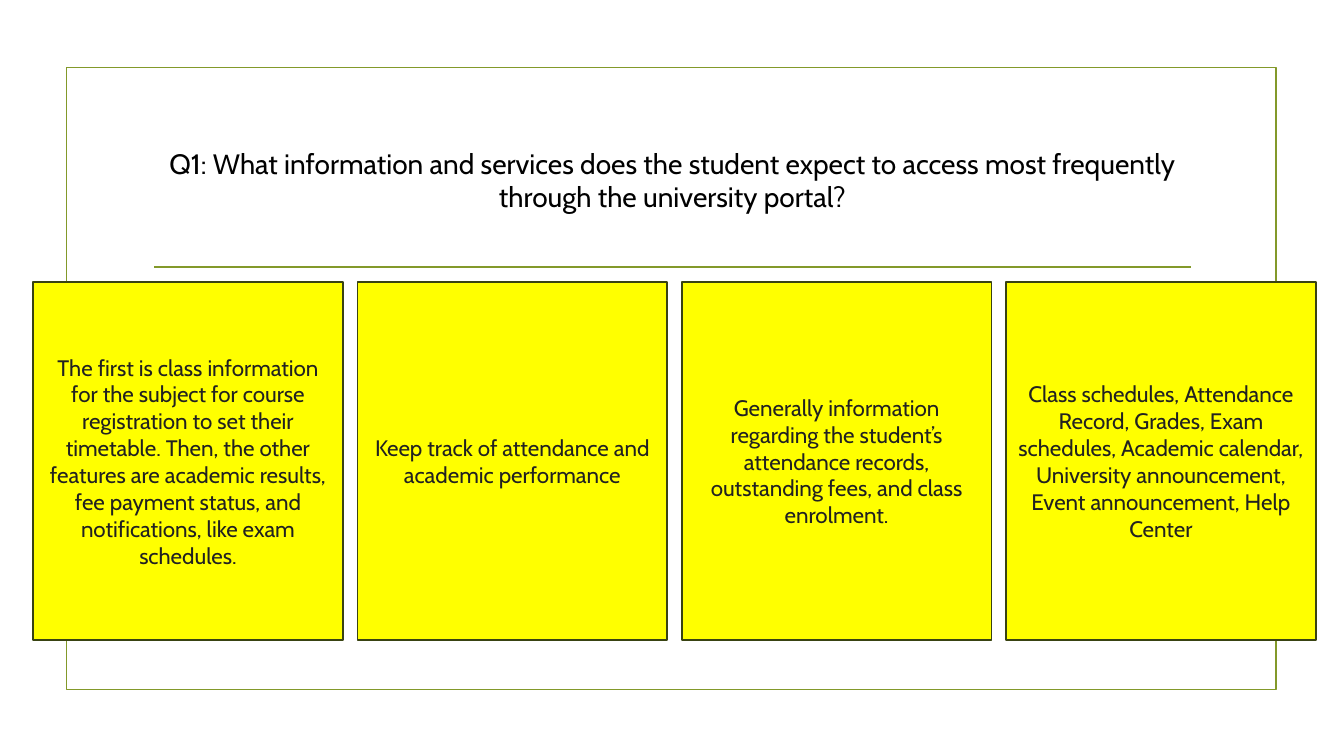
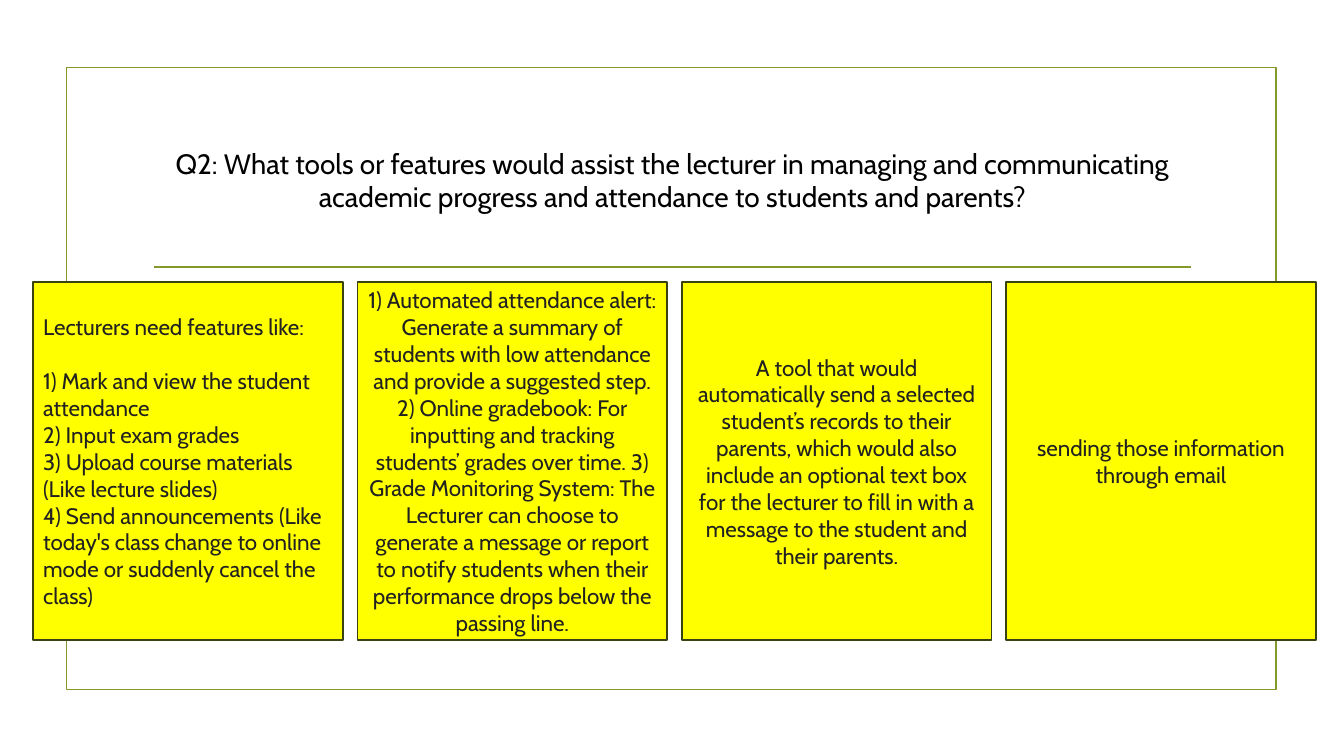
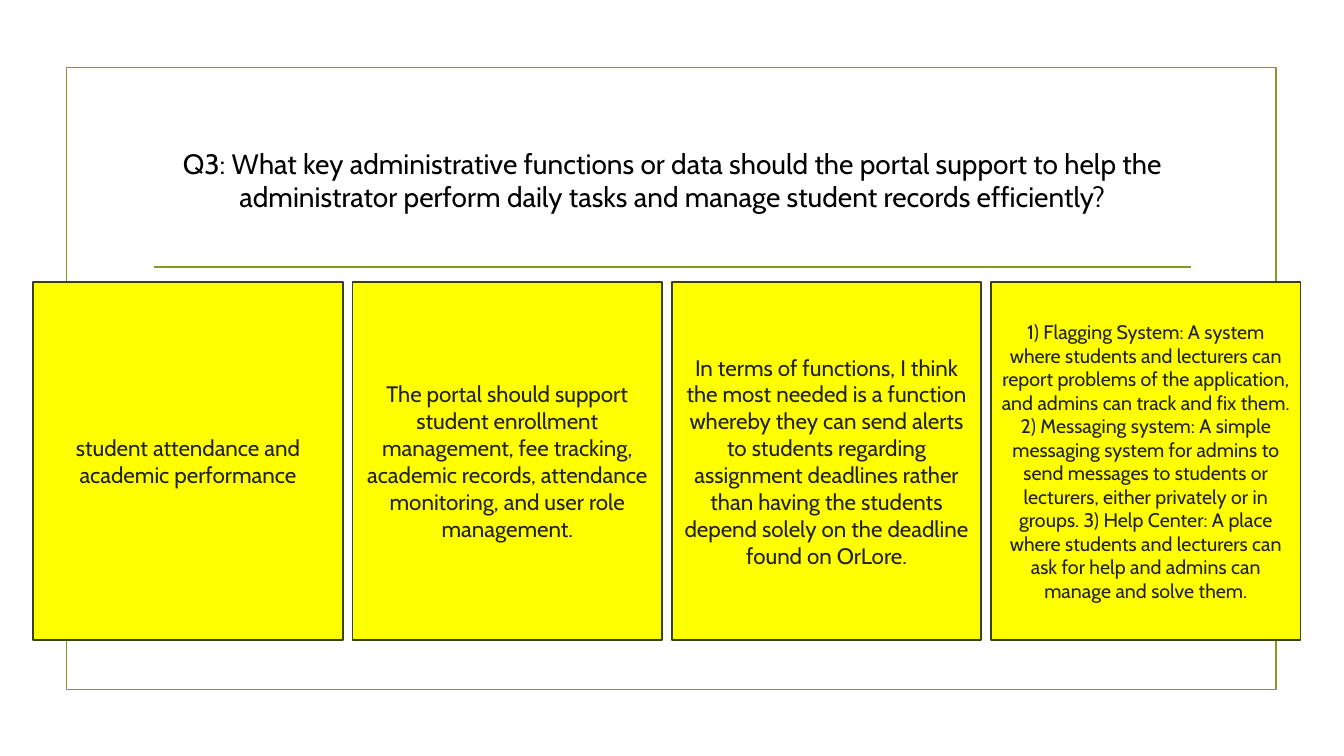
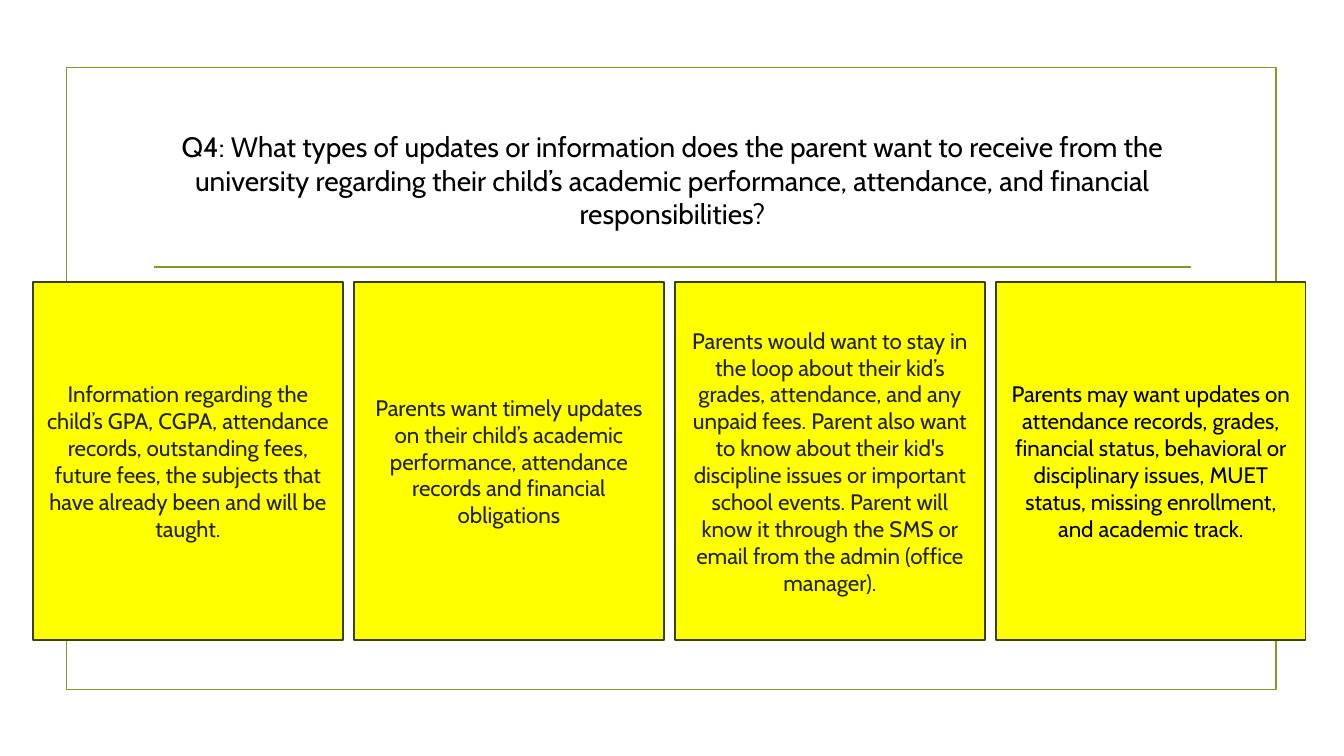
from collections import namedtuple
from dataclasses import dataclass

from pptx import Presentation
from pptx import util as u
from pptx.dml.color import RGBColor
from pptx.enum import shapes, text
from pptx.oxml.ns import qn
from lxml import etree

Box = namedtuple("Box", "x y w h")
Card = namedtuple("Card", "paras fmt")


@dataclass(frozen=True)
class Theme:
    """Colours, type sizes and line width of the deck."""
    font: str = "Cabin"
    black: str = "000000"
    ink: str = "212121"
    olive: str = "83992A"
    card_fill: str = "FFFF00"
    card_line: str = "394312"
    title_size: float = 20
    body_size: float = 16
    small_size: float = 14
    line_width: float = 1.25


T = Theme()
WIDTH, HEIGHT = 13.33, 7.5
FRAME = Box(0.66, 0.67, 12, 6.17)
TITLE = Box(1.42, 1.07, 10.5, 1.43)
RULE = Box(1.53, 2.65, 10.28, 0)
CARD_LEFT, CARD_TOP, CARD_W, CARD_H = 0.33, 2.8, 3.07, 3.55


def card(*paras, **fmt):
    """Describe a card by its paragraphs and any special format."""
    return Card(paras, fmt)


SLIDES = [
    ("Q1: What information and services does the student expect to access most frequently "
     "through the university portal?", 13.05, [
         card("The first is class information for the subject for course registration to set their "
              "timetable. Then, the other features are academic results, fee payment status, and "
              "notifications, like exam schedules."),
         card("Keep track of attendance and academic performance"),
         card("Generally information regarding the student’s attendance records, outstanding fees, "
              "and class enrolment."),
         card("Class schedules, Attendance Record, Grades, Exam schedules, Academic calendar, "
              "University announcement, Event announcement, Help Center"),
     ]),
    ("Q2: What tools or features would assist the lecturer in managing and communicating "
     "academic progress and attendance to students and parents?", 13.05, [
         card("Lecturers need features like:",
              "1) Mark and view the student attendance",
              "2) Input exam grades",
              "3) Upload course materials (Like lecture slides)",
              "4) Send announcements (Like today's class change to online mode or suddenly cancel "
              "the class)",
              align=text.PP_ALIGN.LEFT, lead_gap=19.4),
         card("1) Automated attendance alert: Generate a summary of students with low attendance "
              "and provide a suggested step. 2) Online gradebook: For inputting and tracking "
              "students’ grades over time. 3) Grade Monitoring System: The Lecturer can choose to "
              "generate a message or report to notify students when their performance drops below "
              "the passing line."),
         card("A tool that would automatically send a selected student’s records to their parents, "
              "which would also include an optional text box for the lecturer to fill in with a "
              "message to the student and their parents."),
         card("sending those information through email"),
     ]),
    ("Q3: What key administrative functions or data should the portal support to help the "
     "administrator perform daily tasks and manage student records efficiently?", 12.9, [
         card("student attendance and academic performance"),
         card("The portal should support student enrollment management, fee tracking, academic "
              "records, attendance monitoring, and user role management."),
         card("In terms of functions, I think the most needed is a function whereby they can send "
              "alerts to students regarding assignment deadlines rather than having the students "
              "depend solely on the deadline found on OrLore."),
         card("1) Flagging System: A system where students and lecturers can report problems of the "
              "application, and admins can track and fix them. 2) Messaging system: A simple "
              "messaging system for admins to send messages to students or lecturers, either "
              "privately or in groups. 3) Help Center: A place where students and lecturers can ask "
              "for help and admins can manage and solve them.", size=T.small_size),
     ]),
    ("Q4: What types of updates or information does the parent want to receive from the "
     "university regarding their child’s academic performance, attendance, and financial "
     "responsibilities?", 12.95, [
         card("Information regarding the child’s GPA, CGPA, attendance records, outstanding fees, "
              "future fees, the subjects that have already been and will be taught."),
         card("Parents want timely updates on their child’s academic performance, attendance "
              "records and financial obligations"),
         card("Parents would want to stay in the loop about their kid’s grades, attendance, and any "
              "unpaid fees. Parent also want to know about their kid's discipline issues or "
              "important school events. Parent will know it through the SMS or email from the admin "
              "(office manager)."),
         card("Parents may want updates on attendance records, grades, financial status, behavioral "
              "or disciplinary issues, MUET status, missing enrollment, and academic track.",
              color=T.black),
     ]),
]


def inches(box):
    """Turn a box into lengths for python-pptx."""
    return [u.Inches(v) for v in box]


def write(tf, paras, size=T.body_size, color=T.ink, align=text.PP_ALIGN.CENTER, lead_gap=0):
    """Write paragraphs, with an optional gap after the first one."""
    tf.word_wrap = True
    tf.auto_size = text.MSO_AUTO_SIZE.NONE
    tf.vertical_anchor = text.MSO_ANCHOR.MIDDLE
    for i, line in enumerate(paras):
        p = tf.paragraphs[0] if i == 0 else tf.add_paragraph()
        p.alignment = align
        p.space_before = u.Pt(lead_gap if i == 1 else 0)
        r = p.add_run()
        r.text = line
        r.font.name = T.font
        r.font.size = u.Pt(size)
        r.font.color.rgb = RGBColor.from_string(color)


def stroke(line, color):
    """Give a line the deck's width and a colour."""
    line.color.rgb = RGBColor.from_string(color)
    line.width = u.Pt(T.line_width)


def add_rect(s, box, line, fill=None):
    """Add a flat rectangle."""
    sp = s.shapes.add_shape(shapes.MSO_SHAPE.RECTANGLE, *inches(box))
    sp.shadow.inherit = False
    stroke(sp.line, line)
    if fill:
        sp.fill.solid()
        sp.fill.fore_color.rgb = RGBColor.from_string(fill)
    else:
        sp.fill.background()
    return sp


def add_rule(s, box):
    """Add a flat straight line from corner to corner of the box."""
    x, y, w, h = inches(box)
    cxn = s.shapes.add_connector(shapes.MSO_CONNECTOR.STRAIGHT, x, y, x + w, y + h)
    stroke(cxn.line, T.olive)
    etree.SubElement(cxn.element.spPr, qn("a:effectLst"))
    return cxn


def decorate_layout(s):
    """Draw the frame and rule, then move them to the layout of the slide."""
    tree = s.slide_layout.shapes.element
    for i, sp in enumerate((add_rect(s, FRAME, T.olive), add_rule(s, RULE))):
        sp.element.xpath(".//p:cNvPr")[0].set("id", str(100 + i))
        tree.insert(2 + i, sp.element)


def add_title(s, box, title):
    """Place and format the title placeholder."""
    sp = s.shapes.title
    sp.left, sp.top, sp.width, sp.height = inches(box)
    write(sp.text_frame, [title], size=T.title_size, color=T.black)


def add_cards(s, box, cards):
    """Spread the cards evenly over the box."""
    pitch = (box.w - CARD_W) / (len(cards) - 1)
    for i, c in enumerate(cards):
        sp = add_rect(s, Box(box.x + i * pitch, box.y, CARD_W, box.h), T.card_line, T.card_fill)
        write(sp.text_frame, c.paras, **c.fmt)


def main():
    """Build the deck and save it."""
    prs = Presentation()
    prs.slide_width, prs.slide_height = u.Inches(WIDTH), u.Inches(HEIGHT)
    layout = prs.slide_layouts.get_by_name("Title Only")
    for i, (title, right, cards) in enumerate(SLIDES):
        s = prs.slides.add_slide(layout)
        if i == 0:
            decorate_layout(s)
        add_title(s, TITLE, title)
        add_cards(s, Box(CARD_LEFT, CARD_TOP, right - CARD_LEFT, CARD_H), cards)
    prs.save("out.pptx")


if __name__ == "__main__":
    main()
